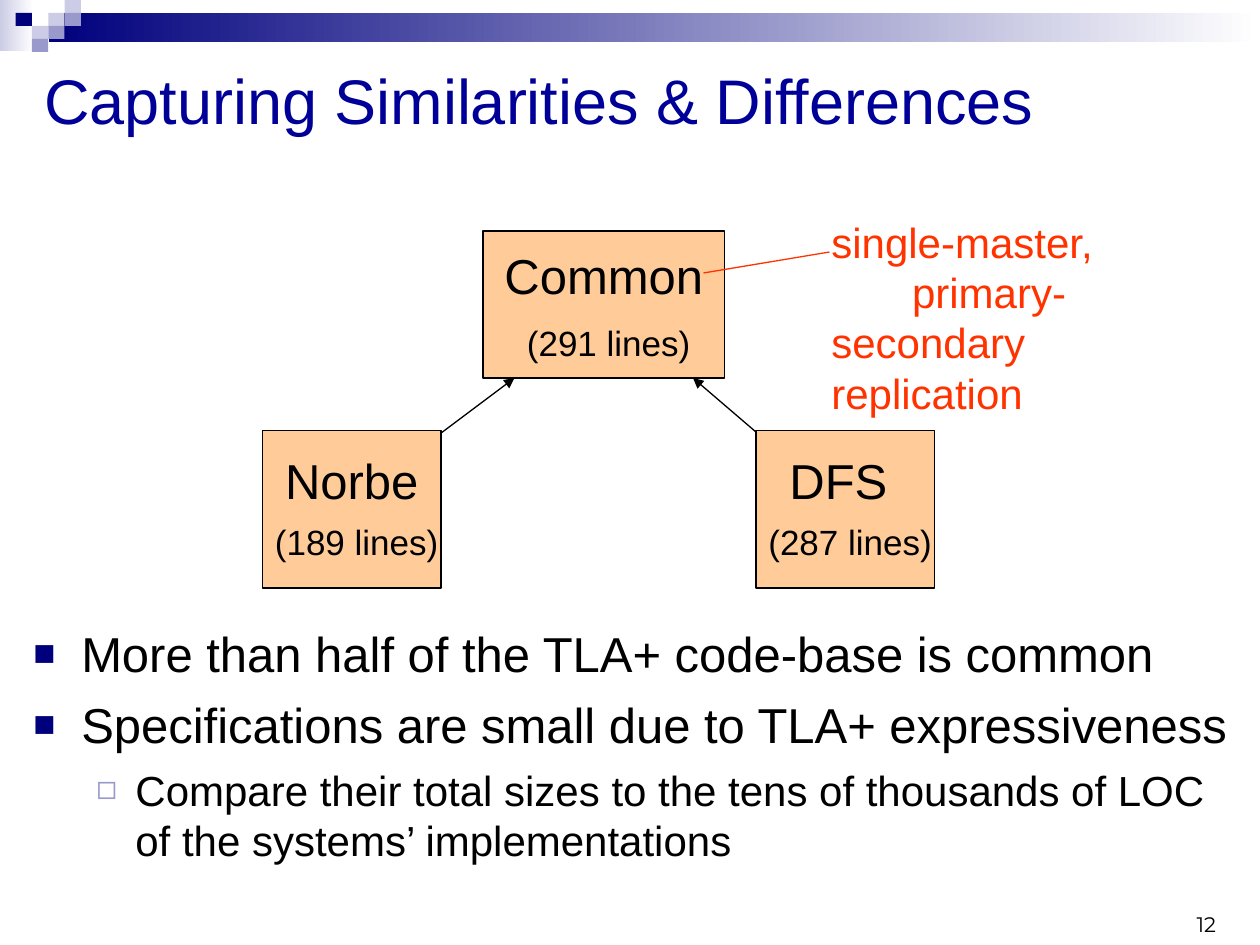
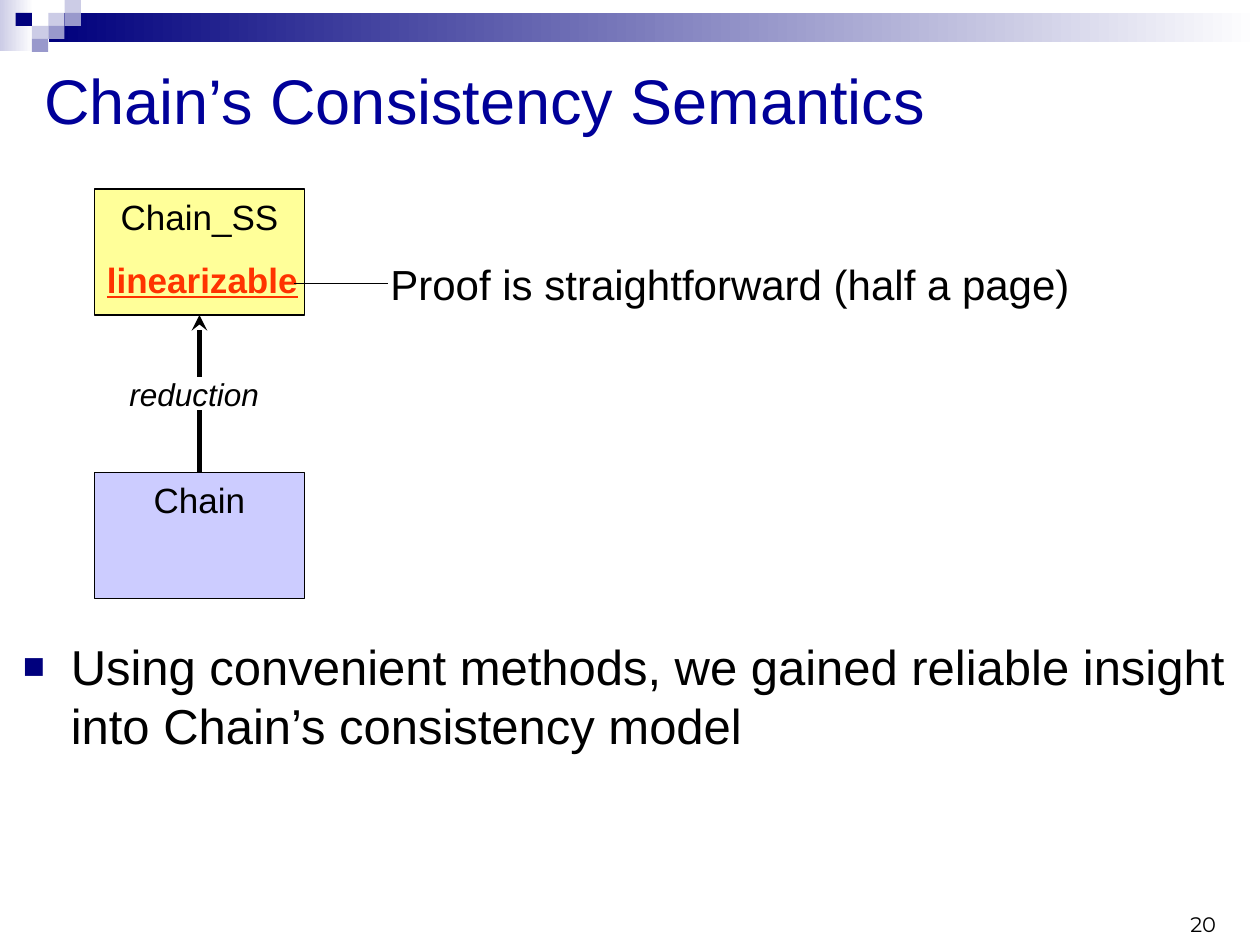
from dataclasses import dataclass

import pptx
import pptx.dml.color
import pptx.enum.shapes
import pptx.enum.text
import pptx.oxml
import pptx.oxml.ns
import pptx.util
from lxml import etree

ALIGN = pptx.enum.text.PP_ALIGN
ANCHOR = pptx.enum.text.MSO_ANCHOR
COLUMNS, ROWS = 120, 90
CELL = pptx.util.Inches(10) / COLUMNS


@dataclass(frozen=True)
class Theme:
    font: str = "Arial"
    number_font: str = "Montserrat"
    black: str = "000000"
    white: str = "FFFFFF"
    title: str = "000099"
    navy: str = "00007D"
    lilac: str = "9999CC"
    pale: str = "CCCCE6"
    accent: str = "FF3300"
    peach: str = "FFCC99"
    yellow: str = "FFFF99"
    lavender: str = "CCCCFF"
    title_size: int = 36
    body_size: int = 28
    detail_size: int = 24
    label_size: int = 20
    arrow_size: int = 18
    number_size: int = 12


THEME = Theme()


@dataclass(frozen=True)
class Box:
    """A region measured in grid columns and rows."""
    left: float
    top: float
    width: float
    height: float

    def inner(self, column, row, width, height):
        return Box(self.left + column, self.top + row, width, height)

    def point(self, column, row):
        return self.left + column, self.top + row

    def emu(self):
        return [round(n * CELL) for n in (self.left, self.top, self.width, self.height)]


PAGE = Box(0, 0, COLUMNS, ROWS)

# mark, mark colour, mark size in %, left margin and hanging indent in inches,
# space before and text size in points
BULLETS = [
    ("■", THEME.navy, 75, 0.38, -0.38, 7, THEME.body_size),
    ("◻", THEME.lilac, 80, 0.81, -0.31, 6, THEME.detail_size),
]


def rgb(value):
    return pptx.dml.color.RGBColor.from_string(value)


def append_xml(parent, tag, **attributes):
    child = etree.SubElement(parent, pptx.oxml.ns.qn(tag))
    for name, value in attributes.items():
        child.set(name, str(value))
    return child


def write(frame, text, size=THEME.label_size, color=THEME.black, font=THEME.font,
          align=ALIGN.LEFT, bold=False, italic=False, underline=False,
          before=0, margin=0, indent=0):
    """Add one formatted paragraph; margin and indent are inches."""
    para = frame.add_paragraph() if frame.text else frame.paragraphs[0]
    para.alignment = align
    para.space_before = pptx.util.Pt(before)
    properties = para._p.get_or_add_pPr()
    properties.set("marL", str(pptx.util.Inches(margin)))
    properties.set("indent", str(pptx.util.Inches(indent)))
    span = para.add_run()
    span.text = text
    span.font.name = font
    span.font.size = pptx.util.Pt(size)
    span.font.color.rgb = rgb(color)
    span.font.bold, span.font.italic, span.font.underline = bold, italic, underline
    return para


def add_text(page, box, text="", wrap=True, anchor=ANCHOR.TOP, **style):
    frame = page.shapes.add_textbox(*box.emu()).text_frame
    frame.word_wrap = wrap
    frame.vertical_anchor = anchor
    if text:
        write(frame, text, **style)
    return frame


def add_block(page, box, fill, line=None):
    block = page.shapes.add_shape(pptx.enum.shapes.MSO_SHAPE.RECTANGLE, *box.emu())
    block.shadow.inherit = False
    if isinstance(fill, tuple):
        block.fill.gradient()
        block.fill.gradient_angle = 180
        for stop, color in zip(block.fill.gradient_stops, fill):
            stop.color.rgb = rgb(color)
    else:
        block.fill.solid()
        block.fill.fore_color.rgb = rgb(fill)
    if line:
        block.line.color.rgb = rgb(line)
        block.line.width = pptx.util.Pt(0.75)
    else:
        block.line.fill.background()
    block.text_frame.word_wrap = False
    return block


def add_line(page, start, end, color=THEME.black, width=0.75, head=None):
    ends = [round(n * CELL) for n in (*start, *end)]
    line = page.shapes.add_connector(pptx.enum.shapes.MSO_CONNECTOR.STRAIGHT, *ends)
    line.line.color.rgb = rgb(color)
    line.line.width = pptx.util.Pt(width)
    properties = line._element.spPr
    if head:
        append_xml(properties.find(pptx.oxml.ns.qn("a:ln")), "a:tailEnd", type=head)
    append_xml(properties, "a:effectLst")


def add_header(page, box):
    """Fading bars with a checker of small squares at the left."""
    add_block(page, box.inner(0, 0, 3.2, 4.9), (THEME.white, THEME.pale))
    add_block(page, box.inner(4.7, 1.2, box.width - 4.7, 2.8), (THEME.white, THEME.navy))
    width, height = 1.55, 1.24
    squares = {(2, 1): THEME.pale, (3, 0): THEME.pale, (3, 1): THEME.lilac,
               (1, 2): THEME.pale, (0, 1): THEME.navy, (2, 2): THEME.lilac,
               (1, 3): THEME.lilac}
    for (column, row), color in squares.items():
        add_block(page, box.inner(1.5 + column * width, row * height, width, height), color)


def add_page(deck, title, number):
    page = deck.slides.add_slide(deck.slide_layouts[5])
    add_header(page, PAGE.inner(0, 0, COLUMNS, 5))
    holder = page.shapes.title
    holder.left, holder.top, holder.width, holder.height = PAGE.inner(3, 4, 117, 11).emu()
    holder.text_frame.vertical_anchor = ANCHOR.MIDDLE
    holder.text_frame.auto_size = pptx.enum.text.MSO_AUTO_SIZE.NONE
    write(holder.text_frame, title, size=THEME.title_size, color=THEME.title)
    add_text(page, PAGE.inner(89, 86, 28, 3.8), number, anchor=ANCHOR.BOTTOM,
             size=THEME.number_size, font=THEME.number_font, align=ALIGN.RIGHT)
    return page


def add_bullets(page, box, items):
    """Items are pairs of level and text."""
    frame = add_text(page, box)
    for level, text in items:
        mark, color, scale, margin, indent, before, size = BULLETS[level]
        para = write(frame, text, size=size, before=before, margin=margin, indent=indent)
        para.level = level
        properties = para._p.get_or_add_pPr()
        append_xml(append_xml(properties, "a:buClr"), "a:srgbClr", val=color)
        append_xml(properties, "a:buSzPct", val=scale * 1000)
        append_xml(properties, "a:buFont", typeface=THEME.font)
        append_xml(properties, "a:buChar", char=mark)


def add_module(page, box, name, lines, label_shift=0):
    """A specification box: its name in the upper half, its length below."""
    frame = add_block(page, box, THEME.peach, THEME.black).text_frame
    frame.vertical_anchor = ANCHOR.TOP
    two_lines = 2 * 1.2 * pptx.util.Pt(THEME.body_size)
    frame.margin_top = round((box.height * CELL - two_lines) / 2)
    write(frame, name, size=THEME.body_size, align=ALIGN.CENTER)
    add_text(page, box.inner(label_shift, 8, 18, 5.3), f"({lines} lines)", wrap=False)


def add_module_tree(page, box):
    for start, end in (((16, 22), (24, 16)), ((48, 22), (41, 16))):
        add_line(page, box.point(*start), box.point(*end), head="triangle")
    add_module(page, box.inner(21, 2, 23, 14), "Common", 291, label_shift=3)
    add_module(page, box.inner(0, 21, 17, 15), "Norbe", 189)
    add_module(page, box.inner(47, 21, 17, 15), "DFS ", 287)
    style = dict(size=THEME.detail_size, color=THEME.accent)
    note = add_text(page, box.inner(53, 0, 36, 20.4), "single-master,", **style)
    write(note, "primary-secondary replication", indent=0.64, **style)
    add_line(page, box.point(42, 6), box.point(54, 4), THEME.accent)


def add_reduction(page, box):
    """The protocol below, reduced to the simpler one above it."""
    add_line(page, box.point(10, 27), box.point(10, 12), width=3, head="stealth")
    for row, name, fill in ((0, "Chain_SS", THEME.yellow), (27, "Chain", THEME.lavender)):
        frame = add_block(page, box.inner(0, row, 20, 12), fill, THEME.black).text_frame
        frame.vertical_anchor = ANCHOR.TOP
        write(frame, name, align=ALIGN.CENTER)
    label = add_block(page, box.inner(1, 18, 17, 3), THEME.white, THEME.white).text_frame
    label.vertical_anchor = ANCHOR.MIDDLE
    write(label, "reduction", size=THEME.arrow_size, italic=True, align=ALIGN.CENTER)
    add_text(page, box.inner(0, 6, 23, 6.2), "linearizable",
             color=THEME.accent, bold=True, underline=True)
    add_text(page, box.inner(27, 6, 68, 6), "Proof is straightforward (half a page)",
             size=THEME.detail_size)
    add_line(page, box.point(19, 9), box.point(28, 9))


def main():
    deck = pptx.Presentation()
    deck.slide_width = round(COLUMNS * CELL)
    deck.slide_height = round(ROWS * CELL)

    page = add_page(deck, "Capturing Similarities & Differences", "12")
    add_module_tree(page, PAGE.inner(25, 20, 89, 36))
    add_bullets(page, PAGE.inner(2, 58.8, 118, 28.2), [
        (0, "More than half of the TLA+ code-base is common"),
        (0, "Specifications are small due to TLA+ expressiveness"),
        (1, "Compare their total sizes to the tens of thousands of LOC "
            "of the systems’ implementations"),
    ])

    page = add_page(deck, "Chain’s Consistency Semantics", "20")
    add_reduction(page, PAGE.inner(9, 18, 95, 39))
    add_bullets(page, PAGE.inner(1, 60, 118, 28), [
        (0, "Using convenient methods, we gained reliable insight "
            "into Chain’s consistency model"),
    ])
    deck.save("out.pptx")


if __name__ == "__main__":
    main()
